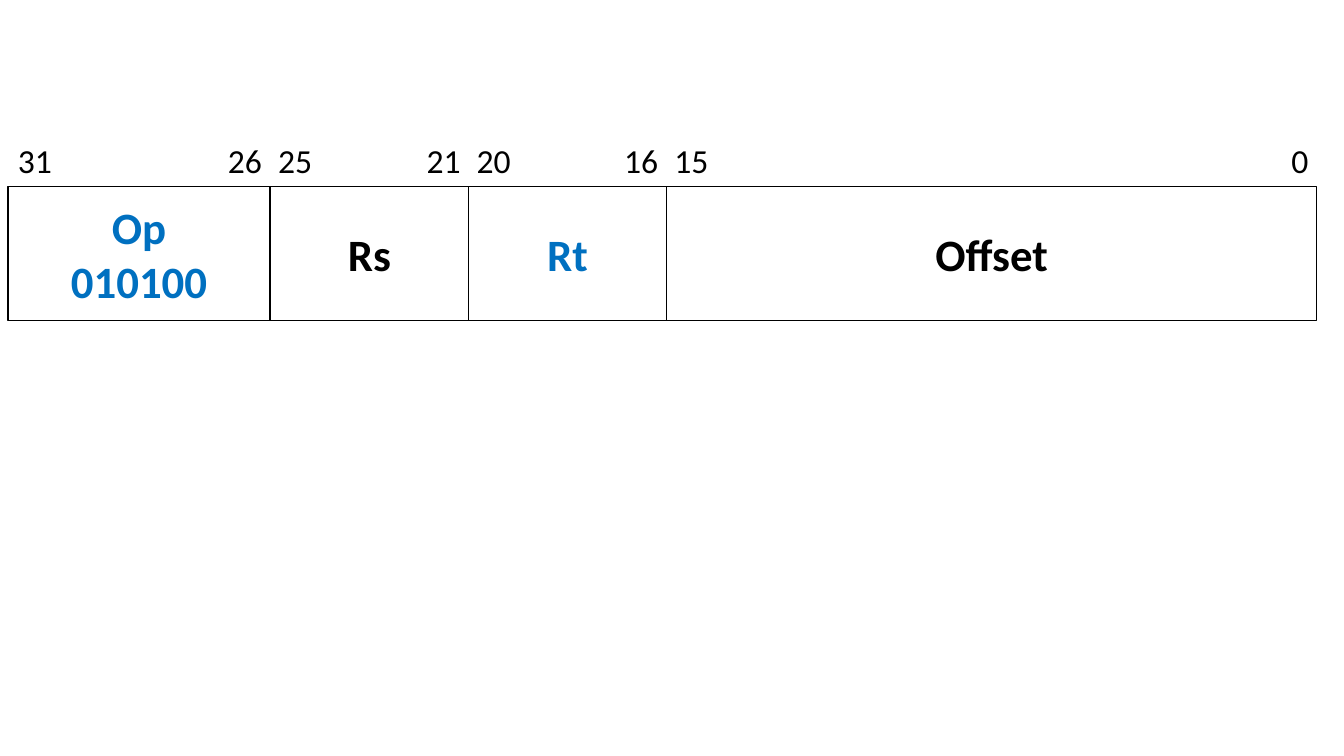
"""Draw a row of four labelled fields with bit numbers above."""
from lxml import etree
from pptx import Presentation
from pptx.dml.color import RGBColor
from pptx.enum import shapes, text
from pptx.oxml import ns
from pptx.util import Inches, Pt

COLORS = {"ink": "000000", "blue": "0070C0"}
EDGES = [0.08, 2.68, 4.65, 6.61, 13.06]
FIELDS = [
    ("Op\n010100", "blue", 31, 26),
    ("Rs", "ink", 25, 21),
    ("Rt", "blue", 20, 16),
    ("Offset", "ink", 15, 0),
]
TOP, HEIGHT = 1.85, 1.33
INSET, PAD = 0.1, 0.08


def style(frame, size, color, bold=False):
    """Set the font of every run in a frame."""
    for para in frame.paragraphs:
        for run in para.runs:
            run.font.name = "Calibri"
            run.font.size = Pt(size)
            run.font.bold = bold
            run.font.color.rgb = RGBColor.from_string(COLORS[color])


def add_field(slide, left, right, label, color):
    """Add one outlined field with its centred label."""
    box = slide.shapes.add_shape(
        shapes.MSO_SHAPE.RECTANGLE, Inches(left), Inches(TOP),
        Inches(right - left), Inches(HEIGHT))
    box.shadow.inherit = False
    box.fill.background()
    box.line.color.rgb = RGBColor.from_string(COLORS["ink"])
    box.line.width = Pt(1)
    frame = box.text_frame
    frame.text = label
    frame.vertical_anchor = text.MSO_ANCHOR.MIDDLE
    for para in frame.paragraphs:
        para.alignment = text.PP_ALIGN.CENTER
    style(frame, 32, color, True)


def add_tabs(para, stops):
    """Give a paragraph tab stops of (inches, alignment)."""
    tabs = etree.SubElement(para._p.get_or_add_pPr(), ns.qn("a:tabLst"))
    for pos, side in stops:
        etree.SubElement(tabs, ns.qn("a:tab"), pos=str(Inches(pos)), algn=side)


def add_bits(slide):
    """Add the row of bit numbers above the field edges."""
    box = slide.shapes.add_textbox(
        Inches(EDGES[0]), Inches(1.34), Inches(13.07), Inches(0.5))
    frame = box.text_frame
    frame.word_wrap = True
    frame.text = "\t".join(f"{high}\t{low}" for _, _, high, low in FIELDS)
    start = EDGES[0] + INSET
    stops = []
    for edge in EDGES[1:]:
        stops += [(edge - PAD - start, "r"), (edge + PAD - start, "l")]
    add_tabs(frame.paragraphs[0], stops[:-1])
    style(frame, 24, "ink")


def main():
    """Build and save the slide."""
    deck = Presentation()
    deck.slide_width, deck.slide_height = Inches(13.33), Inches(7.5)
    slide = deck.slides.add_slide(deck.slide_layouts[6])
    for left, right, (label, color, _, _) in zip(EDGES, EDGES[1:], FIELDS):
        add_field(slide, left, right, label, color)
    add_bits(slide)
    deck.save("out.pptx")


if __name__ == "__main__":
    main()
